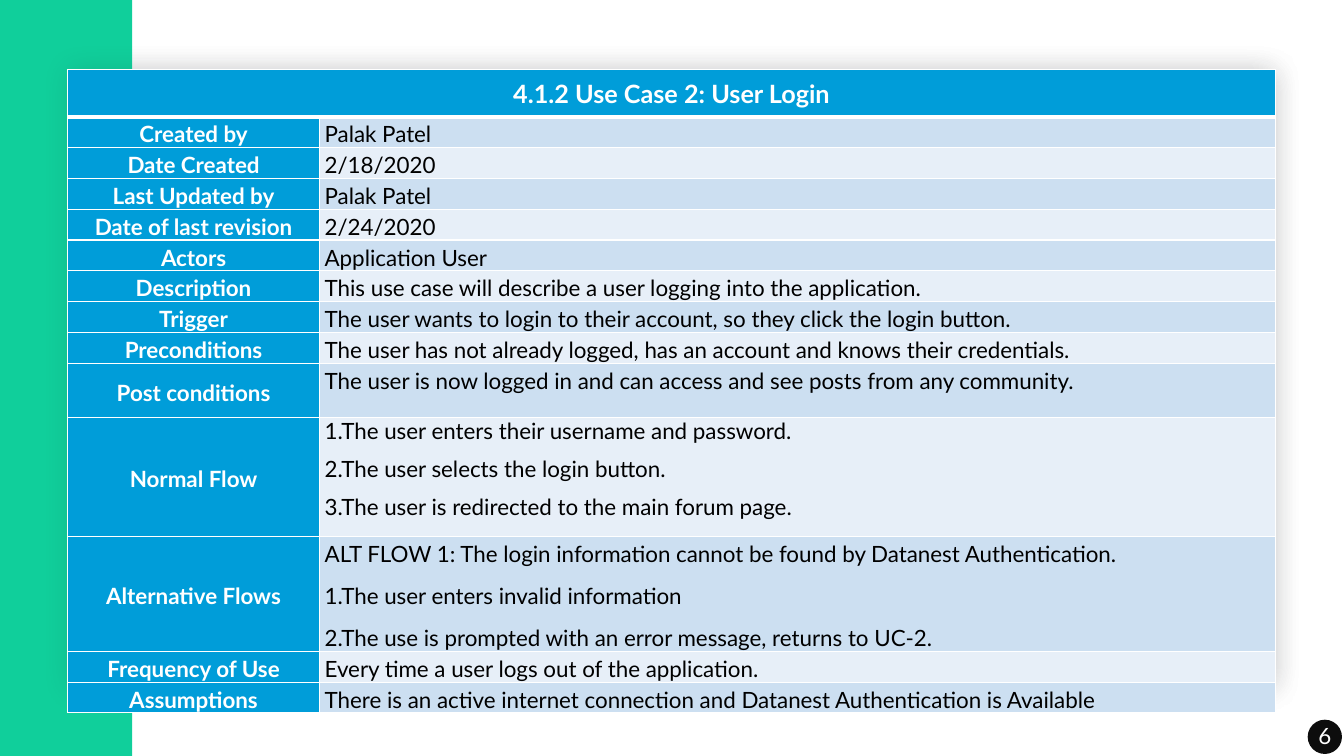
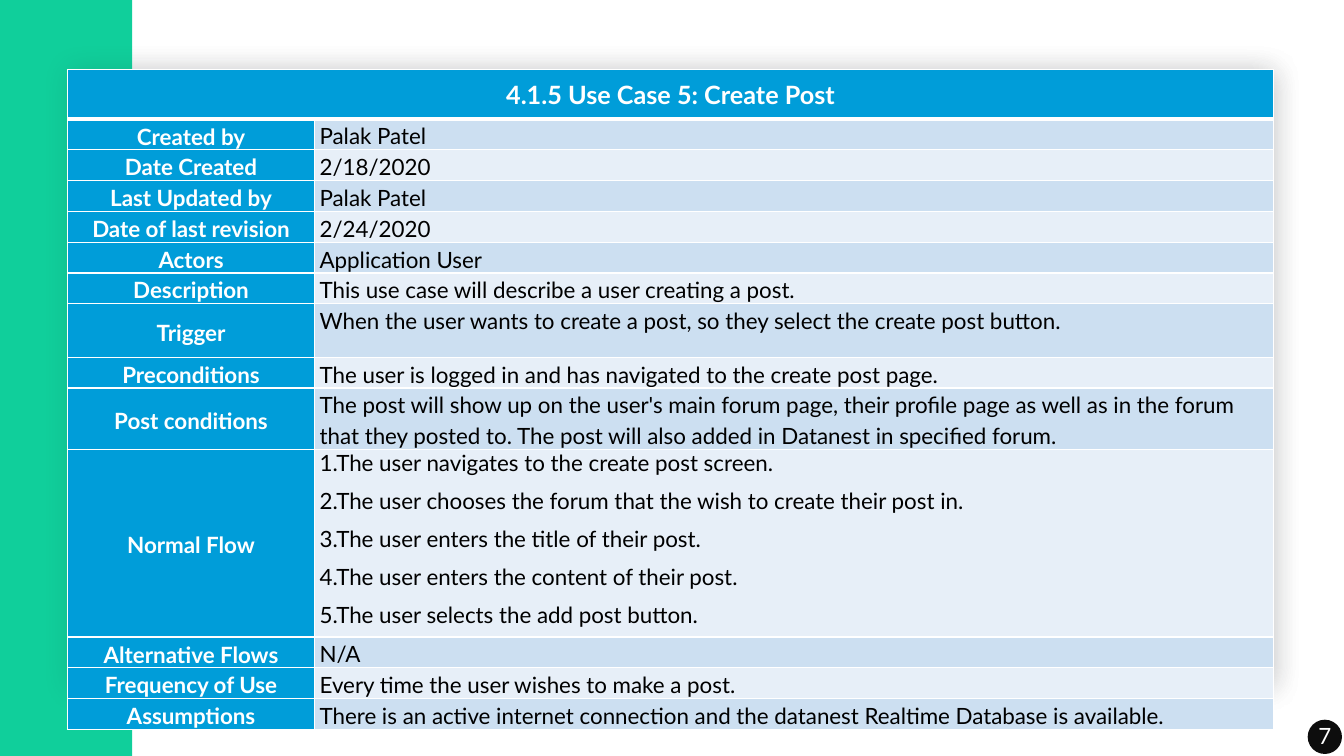
from dataclasses import dataclass

from lxml import etree
from pptx import Presentation
from pptx import util as u
from pptx.dml.color import RGBColor
from pptx.enum import shapes, text
from pptx.oxml.ns import qn

# Content: (label, lines of text) per row
AUTHORSHIP = [
    ("Created by", ["Palak Patel"]),
    ("Date Created", ["2/18/2020"]),
    ("Last Updated by", ["Palak Patel"]),
    ("Date of last revision", ["2/24/2020"]),
    ("Actors", ["Application User"]),
]

USE_CASES = [
    {
        "number": "6",
        "title": "4.1.2 Use Case 2: User Login",
        "title_height": 47,
        "columns": (250, 948),
        "tall_rows": {"Post conditions": 54, "Normal Flow": 118, "Alternative Flows": 71},
        "rows": AUTHORSHIP + [
            ("Description", ["This use case will describe a user logging into the application."]),
            ("Trigger", ["The user wants to login to their account, so they click the login button."]),
            ("Preconditions", ["The user has not already logged, has an account and knows their credentials."]),
            ("Post conditions", ["The user is now logged in and can access and see posts from any community."]),
            ("Normal Flow", [
                "1.The user enters their username and password.",
                "2.The user selects the login button.",
                "3.The user is redirected to the main forum page.",
            ]),
            ("Alternative Flows", [
                "ALT FLOW 1: The login information cannot be found by Datanest Authentication.",
                "1.The user enters invalid information",
                "2.The use is prompted with an error message, returns to UC-2.",
            ]),
            ("Frequency of Use", ["Every time a user logs out of the application."]),
            ("Assumptions", ["There is an active internet connection and Datanest Authentication is Available"]),
        ],
    },
    {
        "number": "7",
        "title": "4.1.5 Use Case 5: Create Post",
        "title_height": 49,
        "columns": (245, 951),
        "tall_rows": {"Trigger": 53, "Post conditions": 53, "Normal Flow": 186},
        "rows": AUTHORSHIP + [
            ("Description", ["This use case will describe a user creating a post."]),
            ("Trigger", ["When the user wants to create a post, so they select the create post button."]),
            ("Preconditions", ["The user is logged in and has navigated to the create post page."]),
            ("Post conditions", [
                "The post will show up on the user's main forum page, their profile page as well as "
                "in the forum that they posted to. The post will also added in Datanest in specified forum.",
            ]),
            ("Normal Flow", [
                "1.The user navigates to the create post screen.",
                "2.The user chooses the forum that the wish to create their post in.",
                "3.The user enters the title of their post.",
                "4.The user enters the content of their post.",
                "5.The user selects the add post button.",
            ]),
            ("Alternative Flows", ["N/A"]),
            ("Frequency of Use", ["Every time the user wishes to make a post."]),
            ("Assumptions", [
                "There is an active internet connection and the datanest Realtime Database is available.",
            ]),
        ],
    },
]


@dataclass(frozen=True)
class Theme:
    font: str = "Lato"
    white: str = "FFFFFF"
    black: str = "000000"
    header: str = "009DD9"
    stripes: tuple = ("CCDFF1", "E7EFF8")
    band: str = "10CF9B"
    panel: str = "F6F9FF"
    shadow: str = "1F2125"
    badge: str = "0D0D0D"
    title_size: int = 18
    body_size: int = 16


THEME = Theme()

# Geometry, 100 px to the inch
SLIDE = (1333, 750)
PANEL = (69, 69, 1194, 611)
BAND = (0, 0, 131, 750)
BADGE = (1297, 714, 34, 34)
TABLE_CORNER = (67, 69)
ROW_HEIGHT = 28


def px(length):
    return u.Emu(length * 9144)


def rgb(value):
    return RGBColor.from_string(value)


def add_block(page, kind, box, color):
    shape = page.shapes.add_shape(kind, *map(px, box))
    shape.shadow.inherit = False
    shape.fill.solid()
    shape.fill.fore_color.rgb = rgb(color)
    shape.line.fill.background()
    return shape


def add_panel(page):
    panel = add_block(page, shapes.MSO_SHAPE.RECTANGLE, PANEL, THEME.panel)
    effects = panel._element.spPr.find(qn("a:effectLst"))
    shadow = etree.SubElement(effects, qn("a:outerShdw"), blurRad=str(u.Pt(20)),
                              dist=str(u.Pt(2)), dir=str(45 * 60000), rotWithShape="0")
    color = etree.SubElement(shadow, qn("a:srgbClr"), val=THEME.shadow)
    etree.SubElement(color, qn("a:alpha"), val="15000")


def write(frame, lines, size, color, bold=False, align=text.PP_ALIGN.LEFT,
          before=0, after=0, spacing=1.0):
    for index, line in enumerate(lines):
        para = frame.add_paragraph() if index else frame.paragraphs[0]
        para.alignment = align
        para.space_before, para.space_after = u.Pt(before), u.Pt(after)
        para.line_spacing = spacing
        span = para.add_run()
        span.text = line
        span.font.name, span.font.size = THEME.font, u.Pt(size)
        span.font.bold = bold
        span.font.color.rgb = rgb(color)


def style_cell(cell, color, anchor, top=1, bottom=1):
    cell.margin_left = cell.margin_right = px(5)
    cell.margin_top = cell.margin_bottom = 0
    cell.vertical_anchor = anchor
    # Borders come before the fill in the cell properties
    properties = cell._tc.get_or_add_tcPr()
    for side, width in (("L", 1), ("R", 1), ("T", top), ("B", bottom)):
        line = etree.SubElement(properties, qn("a:ln" + side), w=str(u.Pt(width)))
        fill = etree.SubElement(line, qn("a:solidFill"))
        etree.SubElement(fill, qn("a:srgbClr"), val=THEME.white)
    cell.fill.solid()
    cell.fill.fore_color.rgb = rgb(color)


def add_use_case_table(page, case):
    rows = case["rows"]
    heights = [case["title_height"]]
    heights += [case["tall_rows"].get(label, ROW_HEIGHT) for label, _ in rows]
    size = (sum(case["columns"]), sum(heights))
    table = page.shapes.add_table(len(heights), 2, *map(px, TABLE_CORNER + size)).table
    table.first_row = table.horz_banding = False
    for column, width in zip(table.columns, case["columns"]):
        column.width = px(width)
    for row, height in zip(table.rows, heights):
        row.height = px(height)

    # Title row across both columns
    middle, center = text.MSO_ANCHOR.MIDDLE, text.PP_ALIGN.CENTER
    title = table.cell(0, 0)
    title.merge(table.cell(0, 1))
    for column in range(2):
        style_cell(table.cell(0, column), THEME.header, middle, bottom=3)
    write(title.text_frame, [case["title"]], THEME.title_size, THEME.white, True, center, before=6)

    # Label and description rows
    for index, (label, lines) in enumerate(rows):
        name, detail = table.cell(index + 1, 0), table.cell(index + 1, 1)
        top = 1 if index else 3
        style_cell(name, THEME.header, middle, top)
        style_cell(detail, THEME.stripes[index % 2], text.MSO_ANCHOR.TOP, top)
        write(name.text_frame, [label], THEME.body_size, THEME.white, True, center, 4, 4, 1.15)
        write(detail.text_frame, lines, THEME.body_size, THEME.black, before=4, after=4,
              spacing=1.0 if label == "Normal Flow" else 1.15)


def add_page_number(page, number):
    badge = add_block(page, shapes.MSO_SHAPE.OVAL, BADGE, THEME.badge)
    frame = badge.text_frame
    frame.margin_left = frame.margin_right = px(2)
    frame.margin_top = frame.margin_bottom = px(5)
    frame.vertical_anchor = text.MSO_ANCHOR.MIDDLE
    write(frame, [number], THEME.body_size, THEME.white, align=text.PP_ALIGN.CENTER,
          after=6, spacing=0.9)


def main():
    deck = Presentation()
    deck.slide_width, deck.slide_height = map(px, SLIDE)
    for case in USE_CASES:
        page = deck.slides.add_slide(deck.slide_layouts[6])
        # The band lies between two panels, so both shadows show
        add_panel(page)
        add_block(page, shapes.MSO_SHAPE.RECTANGLE, BAND, THEME.band)
        add_panel(page)
        add_use_case_table(page, case)
        add_page_number(page, case["number"])
    deck.save("out.pptx")


if __name__ == "__main__":
    main()
